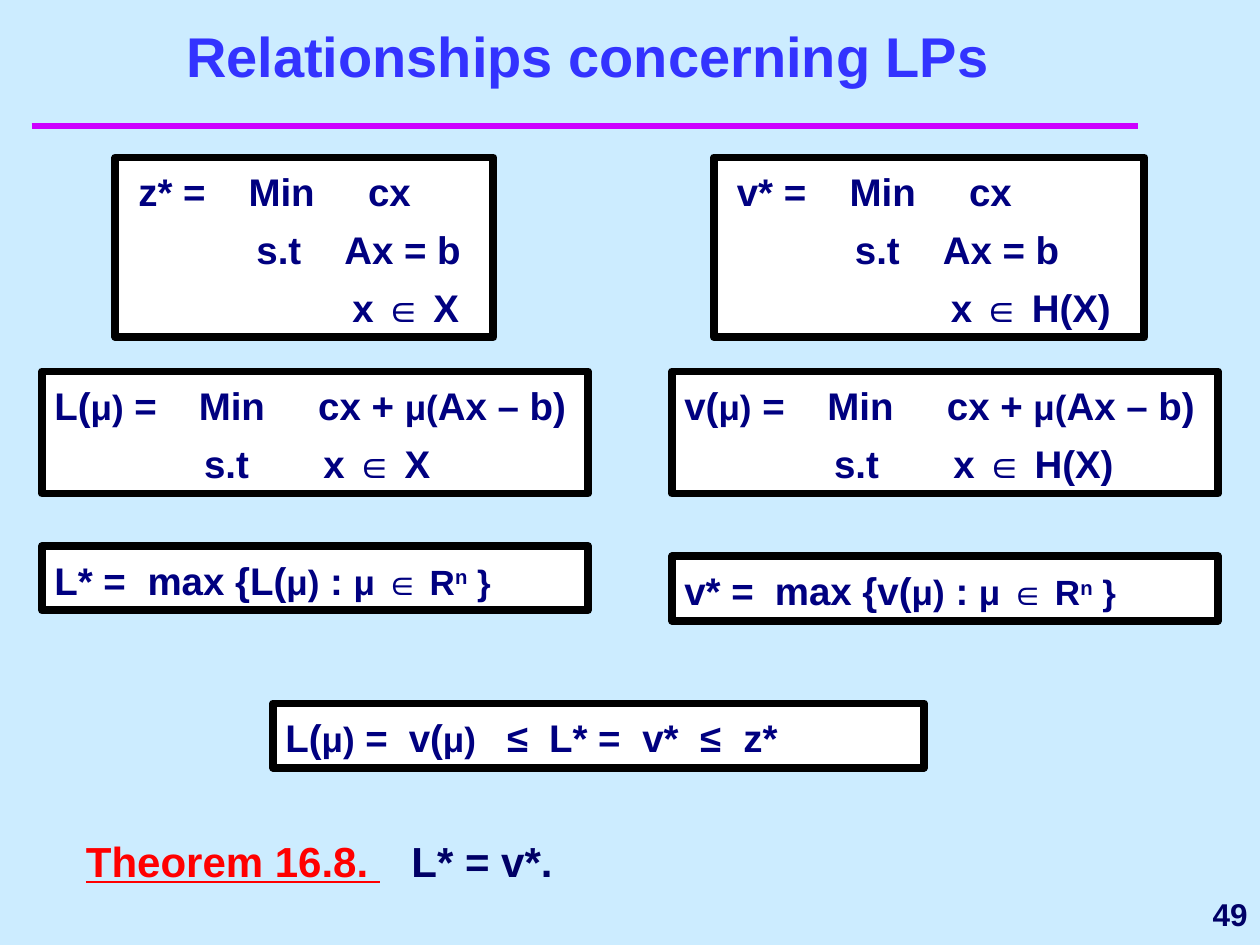
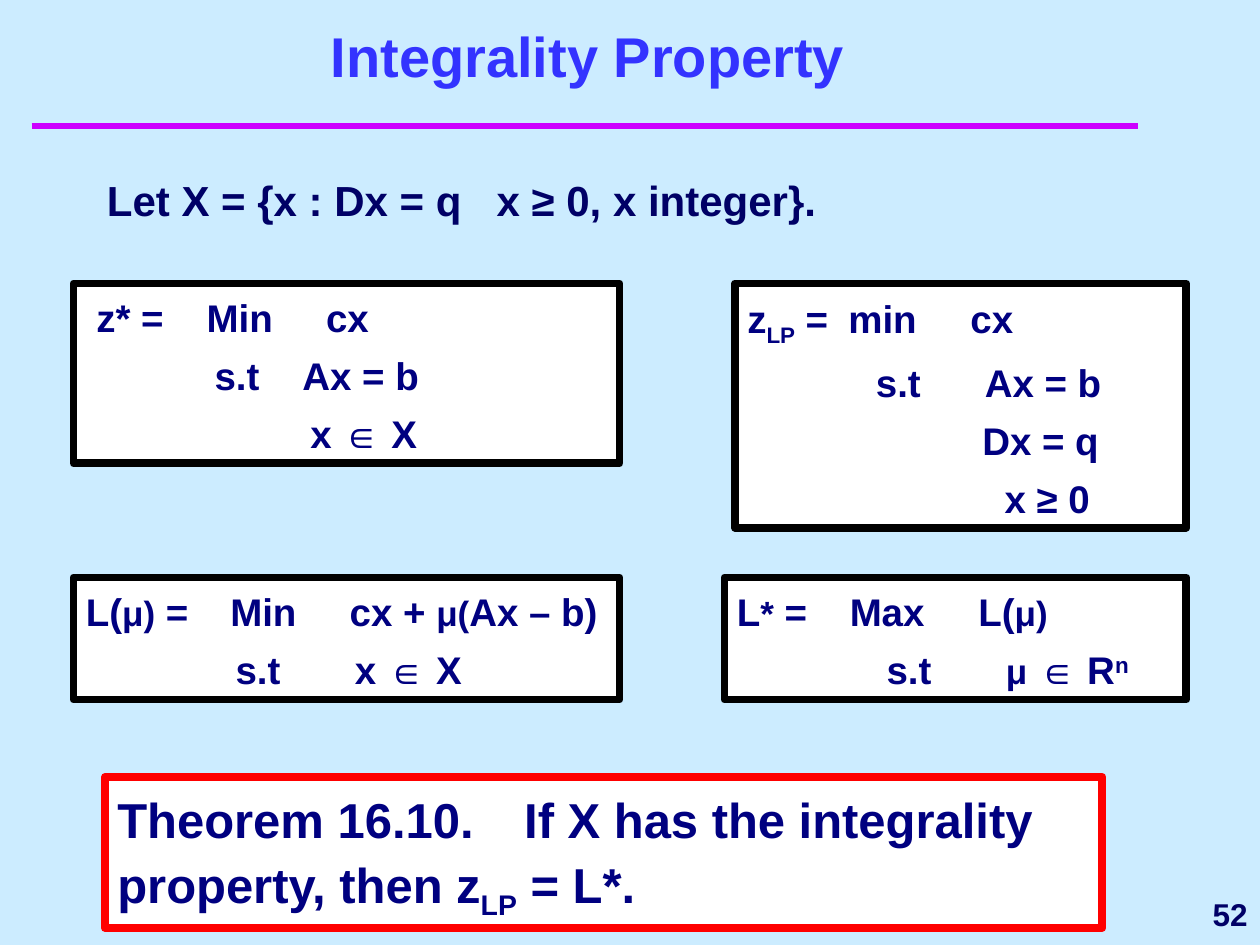
from lxml import etree
from pptx import Presentation
from pptx import util as u
from pptx.dml.color import RGBColor
from pptx.enum import shapes, text
from pptx.oxml.ns import qn

PX = 9525
INK, NAVY, BLUE, RED = "000066", "000080", "3333FF", "FF0000"
SKY, PINK, WHITE, BLACK = "CCECFF", "CC00FF", "FFFFFF", "000000"
SMALL, MARK = "~", "!"
BASE = {"^": "30000", "_": "-25000"}


def px(n):
    return u.Emu(n * PX)


def color(hexa):
    return RGBColor.from_string(hexa)


class Deck:
    """Holds the style and the current slide; pieces split by | may open with ~ ^ _ or !."""

    def __init__(self):
        self.prs = Presentation()
        self.prs.slide_width, self.prs.slide_height = px(960), px(720)
        self.slide = None

    def page(self, title, num):
        self.slide = self.prs.slides.add_slide(self.prs.slide_layouts[6])
        fill = self.slide.background.fill
        fill.solid()
        fill.fore_color.rgb = color(SKY)
        self.rule(24, 96, 867)
        self.label(808, 672, 152, 48, [(num,)], 18, align=text.PP_ALIGN.RIGHT,
                   anchor=text.MSO_ANCHOR.MIDDLE)
        self.label(40, 32, 816, 40, [(title,)], 32, BLUE, align=text.PP_ALIGN.CENTER,
                   anchor=text.MSO_ANCHOR.BOTTOM)

    def rule(self, left, top, right):
        line = self.slide.shapes.add_connector(
            shapes.MSO_CONNECTOR.STRAIGHT, px(left), px(top), px(right), px(top))
        line.line.color.rgb = color(PINK)
        line.line.width = u.Pt(4)
        etree.SubElement(line._element.spPr, qn("a:effectLst"))

    def label(self, x, y, w, h, rows, size=24, ink=INK, **style):
        area = self.slide.shapes.add_textbox(px(x), px(y), px(w), px(h))
        self.prose(area.text_frame, rows, size, ink, **style)

    def box(self, x, y, w, rows, h=None, size=22, edge=BLACK, before=4.1):
        high = h or 44 * len(rows) + 5
        rect = self.slide.shapes.add_shape(
            shapes.MSO_SHAPE.RECTANGLE, px(x), px(y), px(w), px(high))
        rect.shadow.inherit = False
        rect.fill.solid()
        rect.fill.fore_color.rgb = color(WHITE)
        rect.line.color.rgb = color(edge)
        rect.line.width = u.Pt(4.5)
        self.prose(rect.text_frame, rows, size, NAVY, before=before, spacing=1.1)

    def prose(self, frame, rows, size, ink, align=text.PP_ALIGN.LEFT,
              anchor=text.MSO_ANCHOR.TOP, before=0, spacing=1.0):
        frame.word_wrap = True
        frame.vertical_anchor = anchor
        for i, (line, *stops) in enumerate(rows):
            para = frame.add_paragraph() if i else frame.paragraphs[0]
            para.alignment = align
            para.line_spacing = spacing
            para.space_before = u.Pt(before)
            self.tabs(para, stops)
            self.runs(para, line, size, ink)

    def tabs(self, para, stops):
        if stops:
            tabs = etree.SubElement(para._p.get_or_add_pPr(), qn("a:tabLst"))
            for stop in stops:
                etree.SubElement(tabs, qn("a:tab"), pos=str(px(stop)), algn="l")

    def runs(self, para, line, size, ink):
        now = size
        for piece in line.split("|"):
            mark = piece[0] if piece[0] in (SMALL, MARK, *BASE) else ""
            run = para.add_run()
            run.text = piece[len(mark):]
            if mark in BASE:
                run._r.get_or_add_rPr().set("baseline", BASE[mark])
            else:
                now = 20 if mark == SMALL else size
            font = run.font
            font.name, font.size, font.bold = "Arial", u.Pt(now), True
            font.color.rgb = color(RED if mark == MARK else ink)
            if mark == MARK:
                font.underline = True


def primal(name, field, shift=0):
    """Rows of the problem with the side constraints kept."""
    return [(f"\t{name}* =\tMin\tcx", 8, 92 + shift, 183 + shift),
            ("\ts.t\tAx = b", 98, 165),
            (f"\tx ∈ {field}", 171)]


def relaxed(name, field, shift=0):
    """Rows of the problem with the side constraints priced out."""
    return [(f"{name}(|~μ)| =\tMin\tcx + |~μ(|Ax – b)", 110 + shift, 201 + shift),
            (f"\ts.t\tx ∈ {field}", 114, 205)]


def dual(name, stop):
    """Row of the best bound over all multipliers."""
    return [(f"{name}* =\tmax {{{name}(|~μ)| : |~μ ∈ R|^n|~ }}", stop)]


def main():
    deck = Deck()
    deck.page("Relationships concerning LPs", "49")
    deck.box(88, 120, 288, primal("z", "X"))
    deck.box(544, 120, 328, primal("v", "H(X)", 2))
    deck.box(32, 283, 416, relaxed("L", "X"))
    deck.box(512, 283, 416, relaxed("v", "H(X)", -1))
    deck.box(32, 416, 416, dual("L", 71))
    deck.box(512, 424, 416, dual("v", 69))
    deck.box(208, 536, 496, [("L(|~μ)| =\tv(|~μ)|\t≤\tL* =\tv*\t≤\tz*",
                              94, 169, 201, 272, 316, 349)])
    deck.label(56, 632, 448, 48, [("!Theorem 16.8. |\tL* = v*.", 248)])

    deck.page("Integrality Property", "52")
    deck.label(72, 128, 840, 48, [("Let X = {x : Dx = q\tx ≥ 0, x integer}.", 297)])
    deck.box(56, 216, 416, primal("z", "X"))
    deck.box(56, 440, 416, relaxed("L", "X"))
    deck.box(560, 216, 344, [("z|_LP| =\tmin\tcx", 77, 170),
                             ("\ts.t\tAx = b", 98, 181),
                             ("\tDx = q", 179),
                             ("\tx ≥ 0", 196)], h=186)
    deck.box(552, 440, 352, [("L|~*| =\tMax\tL(|~μ)", 86, 184),
                             ("\ts.t\t|~μ| ∈ R|^n", 114, 205)])
    deck.box(80, 592, 760, [("Theorem 16.10.\tIf X has the integrality property, "
                             "then z|_LP| = L*.", 310)],
             h=115, size=28, edge=RED, before=5.2)
    deck.prs.save("out.pptx")


if __name__ == "__main__":
    main()
